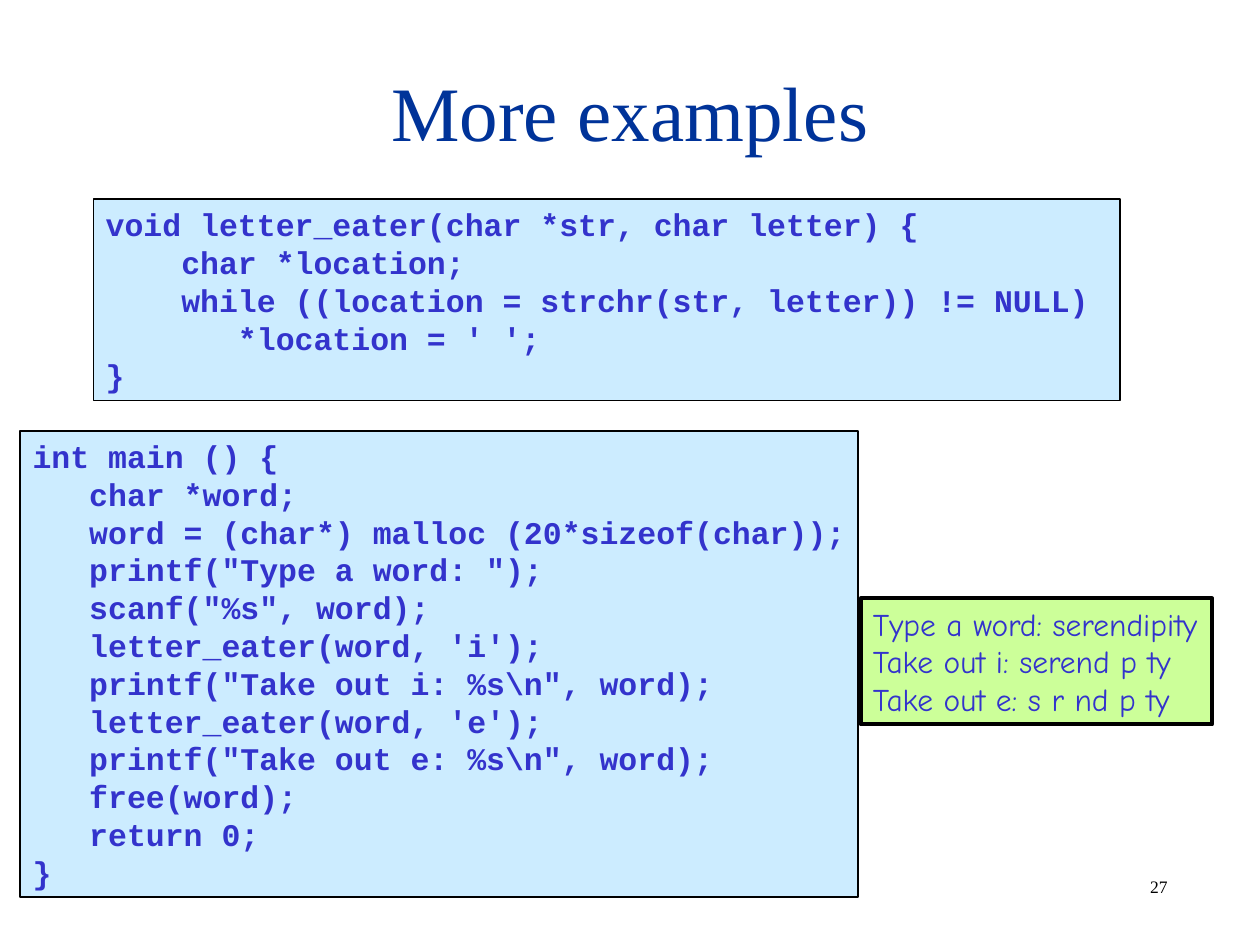
"""Build the "More examples" slide: two C listings and the program output."""
from pptx import Presentation
from pptx.dml.color import RGBColor
from pptx.enum.shapes import MSO_SHAPE
from pptx.enum.text import MSO_ANCHOR, PP_ALIGN
from pptx.util import Inches, Pt

BLACK = RGBColor(0x00, 0x00, 0x00)
NAVY = RGBColor(0x00, 0x33, 0x99)
INDIGO = RGBColor(0x33, 0x33, 0xCC)
PALE_BLUE = RGBColor(0xCC, 0xEC, 0xFF)
PALE_GREEN = RGBColor(0xCC, 0xFF, 0x99)

TITLE = "More examples"
PAGE_NUMBER = "27"

LETTER_EATER = r"""
void letter_eater(char *str, char letter) {
    char *location;
    while ((location = strchr(str, letter)) != NULL)
       *location = ' ';
}
"""

MAIN = r"""
int main () {
   char *word;
   word = (char*) malloc (20*sizeof(char));
   printf("Type a word: ");
   scanf("%s", word);
   letter_eater(word, 'i');
   printf("Take out i: %s\n", word);
   letter_eater(word, 'e');
   printf("Take out e: %s\n", word);
   free(word);
   return 0;
}
"""

OUTPUT = """
Type a word: serendipity
Take out i: serend p ty
Take out e: s r nd p ty
"""

CODE_STYLE = dict(fill=PALE_BLUE, line_width=0.75, font="Courier New", bold=True)
OUTPUT_STYLE = dict(fill=PALE_GREEN, line_width=2.25, font="Comic Neue", bold=False)

PANELS = [
    (LETTER_EATER, (0.74, 1.58, 8.15, 1.6), CODE_STYLE),
    (MAIN, (0.16, 3.42, 6.65, 3.7), CODE_STYLE),
    (OUTPUT, (6.83, 4.75, 2.79, 1), OUTPUT_STYLE),
]


def write_text(shape, text, *, font, size, color, bold=False,
               align=PP_ALIGN.LEFT, anchor=MSO_ANCHOR.TOP):
    frame = shape.text_frame
    frame.word_wrap = True
    frame.vertical_anchor = anchor
    frame.margin_left = frame.margin_right = Inches(0.1)
    frame.margin_top = frame.margin_bottom = Inches(0.05)
    frame.text = text.strip()
    for paragraph in frame.paragraphs:
        paragraph.alignment = align
        for run in paragraph.runs:
            run.font.name = font
            run.font.size = Pt(size)
            run.font.bold = bold
            run.font.color.rgb = color


def add_panel(slide, text, box, *, fill, line_width, font, bold):
    shape = slide.shapes.add_shape(MSO_SHAPE.RECTANGLE, *map(Inches, box))
    shape.shadow.inherit = False
    shape.fill.solid()
    shape.fill.fore_color.rgb = fill
    shape.line.color.rgb = BLACK
    shape.line.width = Pt(line_width)
    write_text(shape, text, font=font, size=18, color=INDIGO, bold=bold)


def main():
    presentation = Presentation()
    presentation.slide_width = Inches(10)
    presentation.slide_height = Inches(7.5)
    slide = presentation.slides.add_slide(presentation.slide_layouts[5])

    title = slide.shapes.title
    title.left, title.top, title.width, title.height = map(
        Inches, (0.75, 0.25, 8.5, 1.25))
    write_text(title, TITLE, font="Times New Roman", size=44, color=NAVY,
               align=PP_ALIGN.CENTER, anchor=MSO_ANCHOR.MIDDLE)

    for text, box, style in PANELS:
        add_panel(slide, text, box, **style)

    number = slide.shapes.add_textbox(*map(Inches, (9.03, 6.9, 0.78, 0.27)))
    write_text(number, PAGE_NUMBER, font="Times New Roman", size=10, color=BLACK)

    presentation.save("out.pptx")


if __name__ == "__main__":
    main()
